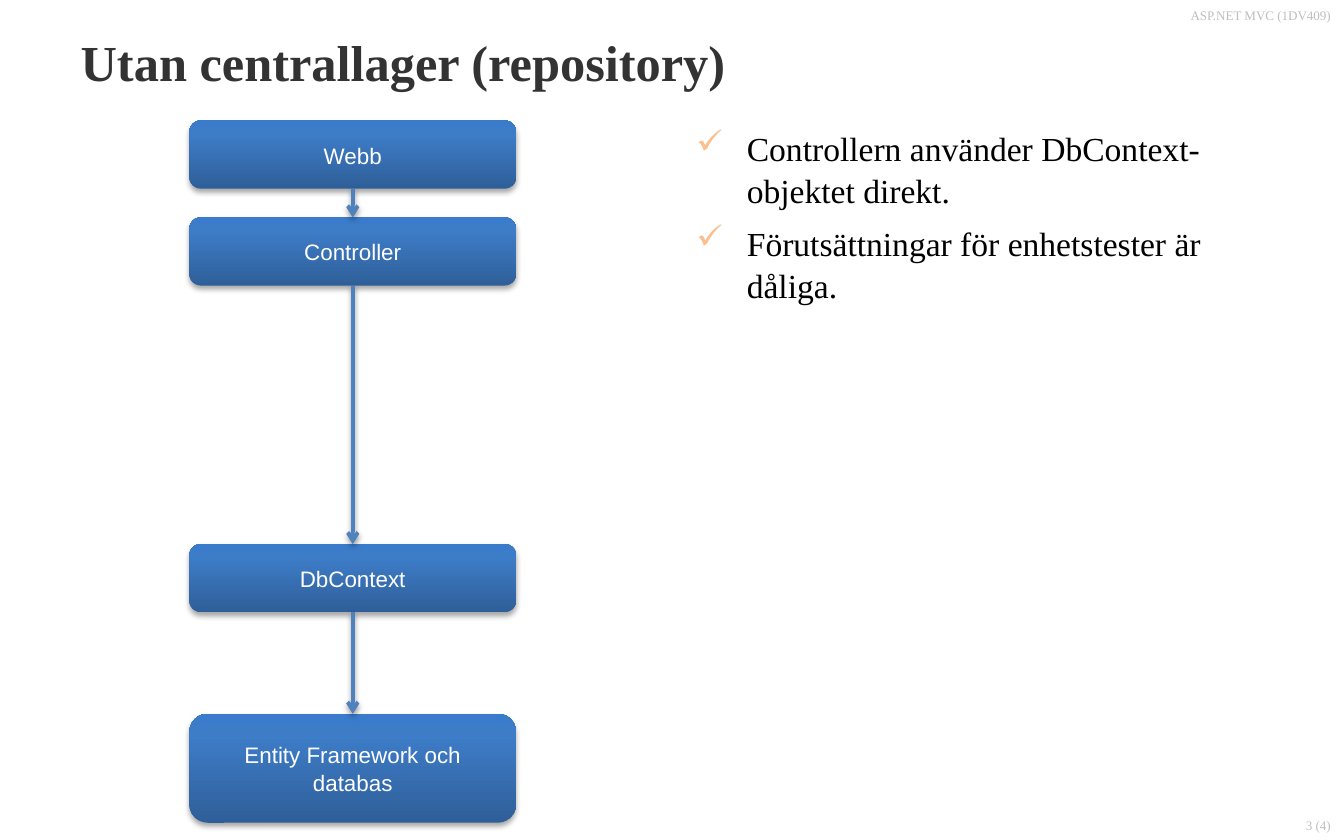
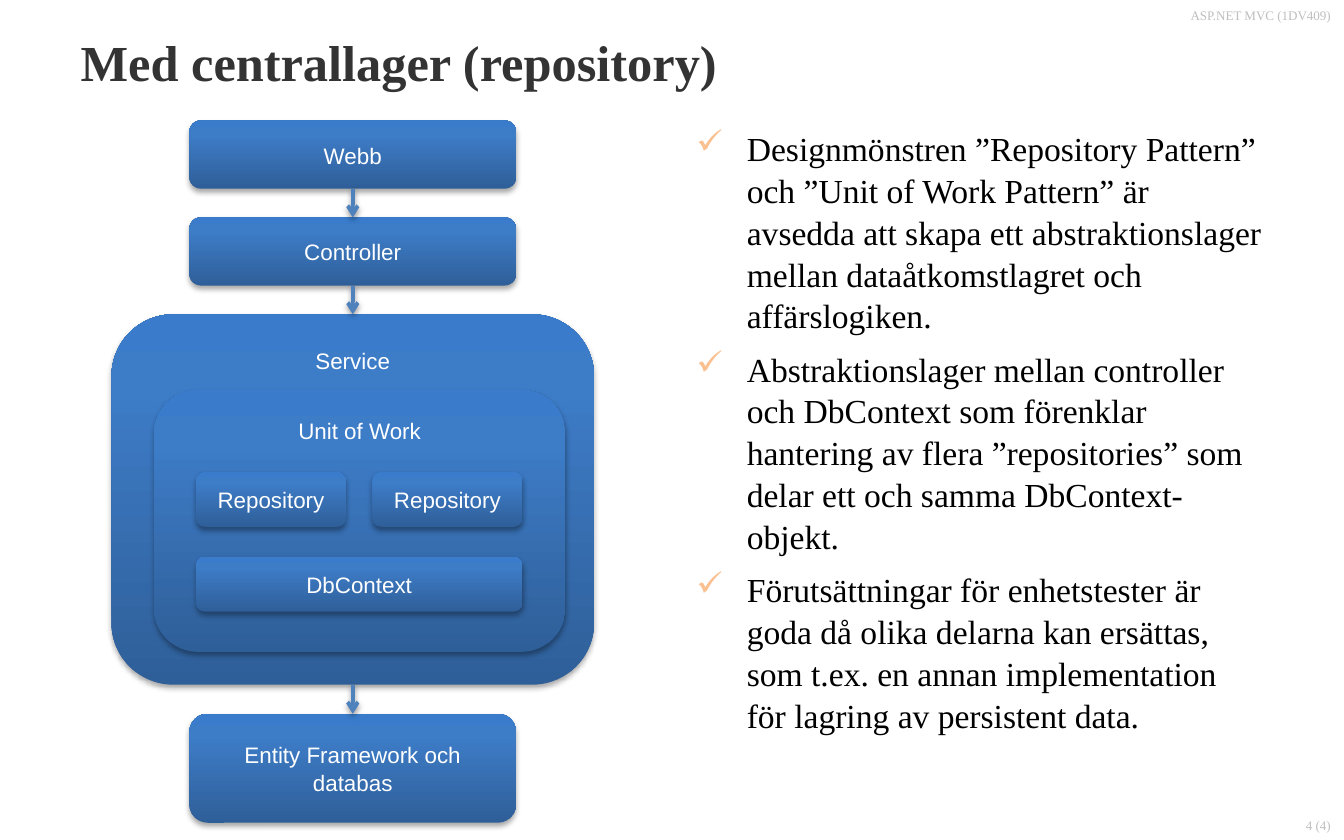
from copy import deepcopy
from dataclasses import dataclass

from lxml.etree import SubElement
from pptx import Presentation
from pptx.dml.color import RGBColor
from pptx.enum.shapes import MSO_CONNECTOR, MSO_SHAPE
from pptx.enum.text import MSO_ANCHOR, MSO_AUTO_SIZE, PP_ALIGN
from pptx.oxml.ns import qn
from pptx.util import Pt

# Shared look
WHITE = RGBColor(0xFF, 0xFF, 0xFF)
BLACK = RGBColor(0, 0, 0)
TITLE_GRAY = RGBColor(0x33, 0x33, 0x33)
FOOTER_GRAY = RGBColor(0xBF, 0xBF, 0xBF)
CHECK_ORANGE = RGBColor(0xFA, 0xC0, 0x90)
ARROW_BLUE = RGBColor(0x4F, 0x81, 0xBD)
BOX_STOPS = (
    (0, RGBColor(0x2F, 0x5F, 0x99)),
    (0.8, RGBColor(0x3D, 0x7C, 0xC7)),
    (1, RGBColor(0x3A, 0x7C, 0xCB)),
)
SERIF, SANS = "Times New Roman", "Arial"
LINE_SPACING = 1.04
COURSE = "ASP.NET MVC (1DV409)"
TOP, BOTTOM = 0, 2  # connection sites


@dataclass(frozen=True)
class TextStyle:
    font: str
    size: float
    color: RGBColor
    align: PP_ALIGN = PP_ALIGN.LEFT
    bold: bool = False
    space_before: float = 0


TITLE = TextStyle(SERIF, 27, TITLE_GRAY, bold=True)
BULLET = TextStyle(SERIF, 18, BLACK, space_before=6)
LABEL = TextStyle(SANS, 12, WHITE, PP_ALIGN.CENTER)
FOOTER = TextStyle(SERIF, 7, FOOTER_GRAY, PP_ALIGN.RIGHT)


@dataclass(frozen=True)
class Area:
    left: float
    top: float
    width: float
    height: float

    def lengths(self) -> list:
        return [Pt(value) for value in (self.left, self.top, self.width, self.height)]


@dataclass(frozen=True)
class Box:
    label: str
    area: Area
    anchor: MSO_ANCHOR = MSO_ANCHOR.MIDDLE


@dataclass(frozen=True)
class Content:
    number: str
    title: str
    title_height: float
    bullets: tuple
    chain: tuple  # boxes joined by arrows, from top to bottom
    inner: tuple = ()  # boxes nested in the third box of the chain


# Diagram grid
AXIS, COLUMN_WIDTH, ROW_HEIGHT = 189, 175, 36.5


def centred(label: str, top: float, height: float = ROW_HEIGHT,
            width: float = COLUMN_WIDTH, anchor: MSO_ANCHOR = MSO_ANCHOR.MIDDLE) -> Box:
    return Box(label, Area(AXIS - width / 2, top, width, height), anchor)


SERVER = centred("Webb", 64.6)
CONTROLLER = centred("Controller", 116.5)
DATABASE = centred("Entity Framework och databas", 382.4, 58.4)
SERVICE = centred("Service", 168.4, 198.4, 258.5, MSO_ANCHOR.TOP)

INNER_LEFT, INNER_HEIGHT = 105, 29.5
REPOSITORY_WIDTH = 80.5
REPOSITORY_LEFTS = (INNER_LEFT, INNER_LEFT + COLUMN_WIDTH - REPOSITORY_WIDTH)

SLIDES = (
    Content(
        "3 (4)", "Utan centrallager (repository)", 47,
        ("Controllern använder DbContext-objektet direkt.",
         "Förutsättningar för enhetstester är dåliga."),
        (SERVER, CONTROLLER, centred("DbContext", 291.5), DATABASE),
    ),
    Content(
        "4 (4)", "Med centrallager (repository)", 57.5,
        ("Designmönstren ”Repository Pattern” och ”Unit of Work Pattern” är avsedda "
         "att skapa ett abstraktionslager mellan dataåtkomstlagret och affärslogiken.",
         "Abstraktionslager mellan controller och DbContext som förenklar hantering av "
         "flera ”repositories” som delar ett och samma DbContext-objekt.",
         "Förutsättningar för enhetstester är goda då olika delarna kan ersättas, som "
         "t.ex. en annan implementation för lagring av persistent data."),
        (SERVER, CONTROLLER, SERVICE, DATABASE),
        (
            Box("Unit of Work", Area(82.5, 208.8, 220.4, 140.4), MSO_ANCHOR.TOP),
            *(Box("Repository", Area(left, 252.8, REPOSITORY_WIDTH, INNER_HEIGHT))
              for left in REPOSITORY_LEFTS),
            Box("DbContext", Area(INNER_LEFT, 298.2, COLUMN_WIDTH, INNER_HEIGHT)),
        ),
    ),
)


def set_all(target, values: dict) -> None:
    for name, value in values.items():
        setattr(target, name, value)


def write(frame, lines: tuple, style: TextStyle, **frame_format) -> None:
    """Fill a text frame with one styled paragraph per line."""
    set_all(frame, {"word_wrap": True, **frame_format})
    for index, line in enumerate(lines):
        para = frame.add_paragraph() if index else frame.paragraphs[0]
        set_all(para, {"alignment": style.align, "line_spacing": LINE_SPACING,
                       "space_before": Pt(style.space_before)})
        span = para.add_run()
        span.text = line
        set_all(span.font, {"name": style.font, "size": Pt(style.size), "bold": style.bold})
        span.font.color.rgb = style.color


def insets(side: float, vertical: float) -> dict:
    return {"margin_left": Pt(side), "margin_right": Pt(side),
            "margin_top": Pt(vertical), "margin_bottom": Pt(vertical)}


def add_shadow(shape, opacity: int, distance: float) -> None:
    effects = SubElement(shape._element.spPr, qn("a:effectLst"))
    shadow = SubElement(effects, qn("a:outerShdw"), blurRad=str(Pt(3.1)),
                        dist=str(Pt(distance)), dir="5400000", rotWithShape="0")
    color = SubElement(shadow, qn("a:srgbClr"), val=str(BLACK))
    SubElement(color, qn("a:alpha"), val=str(opacity * 1000))


def add_box(shapes, box: Box):
    shape = shapes.add_shape(MSO_SHAPE.ROUNDED_RECTANGLE, *box.area.lengths())
    shape.line.fill.background()
    shape.fill.gradient()
    shape.fill.gradient_angle = 90
    stop_list = shape._element.spPr.find(".//" + qn("a:gsLst"))
    stop_list.append(deepcopy(stop_list[0]))
    for stop, (position, color) in zip(shape.fill.gradient_stops, BOX_STOPS):
        stop.position = position
        stop.color.rgb = color
    add_shadow(shape, 35, 1.8)
    write(shape.text_frame, (box.label,), LABEL,
          vertical_anchor=box.anchor, **insets(7.2, 7.2))
    return shape


def add_arrow(page, upper, lower) -> None:
    arrow = page.shapes.add_connector(MSO_CONNECTOR.STRAIGHT, 0, 0, 0, 0)
    arrow.begin_connect(upper, BOTTOM)
    arrow.end_connect(lower, TOP)
    arrow.line.color.rgb = ARROW_BLUE
    arrow.line.width = Pt(2)
    SubElement(arrow.line._get_or_add_ln(), qn("a:tailEnd"), type="arrow")
    add_shadow(arrow, 38, 1.6)


def add_text(page, area: Area, lines: tuple, style: TextStyle, **frame_format):
    box = page.shapes.add_textbox(*area.lengths())
    write(box.text_frame, lines, style, **frame_format)
    return box.text_frame


def add_check_marks(frame) -> None:
    for para in frame.paragraphs:
        properties = para._p.get_or_add_pPr()
        properties.set("marL", str(Pt(27)))
        properties.set("indent", str(-Pt(27)))
        color = SubElement(properties, qn("a:buClr"))
        SubElement(color, qn("a:srgbClr"), val=str(CHECK_ORANGE))
        SubElement(properties, qn("a:buChar"), char="✓")


def add_slide(deck, content: Content) -> None:
    page = deck.slides.add_slide(deck.slide_layouts[5])

    # Title, course name and page number
    title = page.shapes.title
    names = ("left", "top", "width", "height")
    set_all(title, dict(zip(names, Area(36, 8, 648, content.title_height).lengths())))
    write(title.text_frame, (content.title,), TITLE, vertical_anchor=MSO_ANCHOR.TOP,
          auto_size=MSO_AUTO_SIZE.SHAPE_TO_FIT_TEXT, **insets(7.2, 7.2))
    add_text(page, Area(390, 0, 330, 24.5), (COURSE,), FOOTER, **insets(7.2, 3.6))
    add_text(page, Area(600, 434, 120, 16), (content.number,), FOOTER,
             vertical_anchor=MSO_ANCHOR.BOTTOM, **insets(7.2, 3.6))

    # Bullets
    add_check_marks(add_text(page, Area(366, 64, 318, 363.5), content.bullets, BULLET))

    # Diagram, with the nested boxes grouped
    shapes = []
    for box in content.chain:
        nested = content.inner if box is SERVICE else ()
        parent = page.shapes.add_group_shape().shapes if nested else page.shapes
        shapes.append(add_box(parent, box))
        for inner_box in nested:
            add_box(parent, inner_box)
    for upper, lower in zip(shapes, shapes[1:]):
        add_arrow(page, upper, lower)


def main() -> None:
    deck = Presentation()
    set_all(deck, {"slide_width": Pt(720), "slide_height": Pt(450)})
    for content in SLIDES:
        add_slide(deck, content)
    deck.save("out.pptx")


if __name__ == "__main__":
    main()
